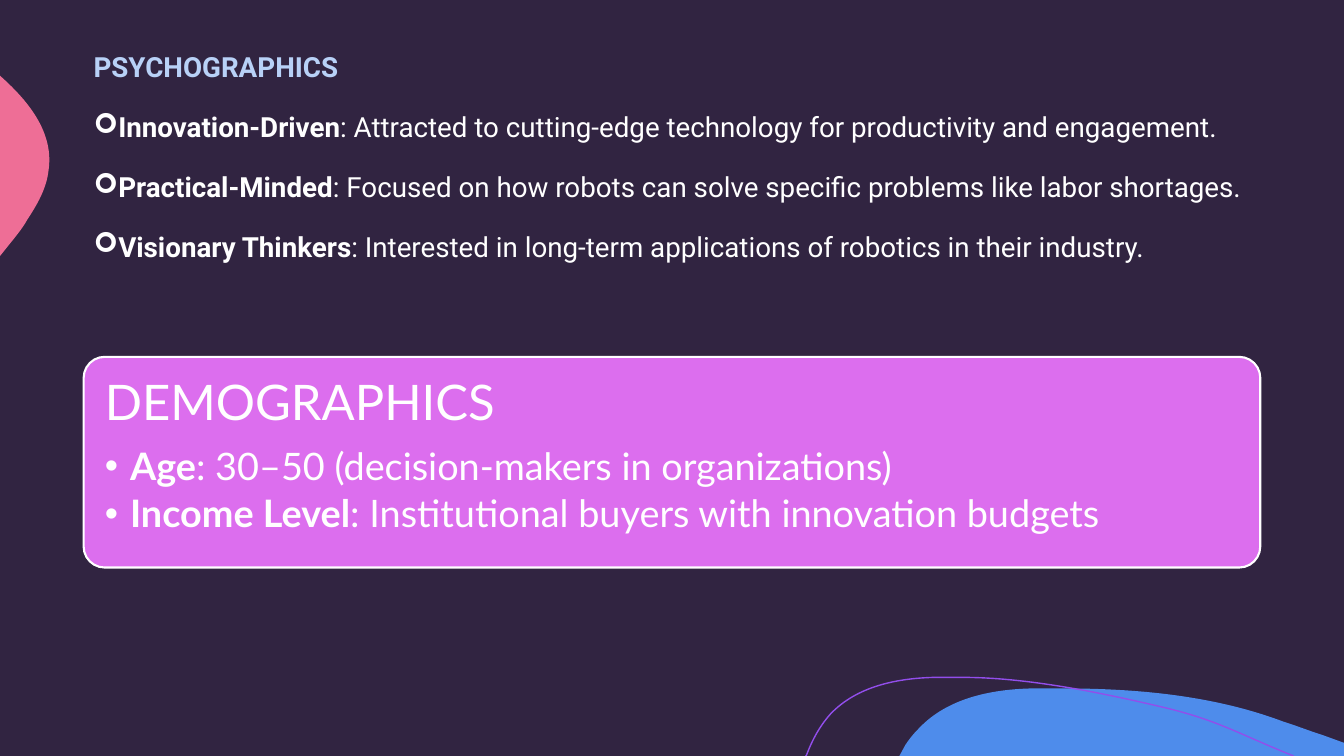
from lxml import etree
from pptx import Presentation
from pptx.dml.color import RGBColor
from pptx.enum.shapes import MSO_SHAPE as Preset
from pptx.enum.text import MSO_ANCHOR as Anchor, PP_ALIGN as Align
from pptx.oxml.ns import qn
from pptx.util import Inches, Pt

COLORS = {
    "background": "312441", "blue": "4E8CEB", "pink": "EE6E96",
    "violet": "924EEB", "card": "DC6EEE", "heading": "B8D1F7", "white": "FFFFFF",
}
COLORS = {name: RGBColor.from_string(value) for name, value in COLORS.items()}


def draw_outline(page, start, segments, close):
    """Draw a freeform; a segment is one line end or three Bezier points."""
    builder = page.shapes.build_freeform(Inches(start[0]), Inches(start[1]))
    ends = [segment[-1] for segment in segments]
    builder.add_line_segments([(Inches(x), Inches(y)) for x, y in ends], close=close)
    outline = builder.convert_to_shape()
    outline.shadow.inherit = False
    # Turn the straight segments that have control points into curves
    lines = list(outline._element.iter(qn("a:lnTo")))
    for line, segment in zip(lines, segments):
        if len(segment) == 3:
            curve = etree.Element(qn("a:cubicBezTo"))
            for x, y in segment:
                point = etree.SubElement(curve, qn("a:pt"))
                point.set("x", str(Inches(x) - outline.left))
                point.set("y", str(Inches(y) - outline.top))
            line.getparent().replace(line, curve)
    return outline


def write_paragraph(para, parts, size, font, color, bullet=None, bullet_font="Arial", hanging=0):
    """Fill a paragraph with (text, bold) parts and an optional bullet."""
    para.alignment = Align.LEFT
    para.line_spacing = 0.9
    if bullet:
        properties = para._p.get_or_add_pPr()
        properties.set("marL", str(Inches(hanging)))
        properties.set("indent", str(-Inches(hanging)))
        etree.SubElement(properties, qn("a:buFont")).set("typeface", bullet_font)
        etree.SubElement(properties, qn("a:buChar")).set("char", bullet)
    for text, bold in parts:
        span = para.add_run()
        span.text = text
        span.font.name = font
        span.font.size = Pt(size)
        span.font.bold = bold
        span.font.color.rgb = color


deck = Presentation()
deck.slide_width, deck.slide_height = Inches(13.33), Inches(7.5)
page = deck.slides.add_slide(deck.slide_layouts[6])
page.background.fill.solid()
page.background.fill.fore_color.rgb = COLORS["background"]

# Filled blobs at the edges
blobs = [
    ("blue", (10.54, 6.83), [
        [(11.28, 6.83), (12.04, 6.9), (12.73, 7.16)],
        [(12.86, 7.2), (12.98, 7.25), (13.11, 7.29)],
        [(13.33, 7.37)], [(13.33, 7.5)], [(8.92, 7.5)], [(8.98, 7.39)],
        [(9.02, 7.33), (9.06, 7.28), (9.11, 7.23)],
        [(9.39, 6.93), (9.82, 6.84), (10.23, 6.83)],
        [(10.33, 6.83), (10.43, 6.83), (10.54, 6.83)]]),
    ("pink", (0, 0.75), [
        [(0.01, 0.76)],
        [(0.3, 1.02), (0.54, 1.33), (0.48, 1.7)],
        [(0.46, 1.87), (0.37, 2.03), (0.27, 2.18)],
        [(0.24, 2.24), (0.17, 2.33), (0.08, 2.44)],
        [(0, 2.54)]]),
]
for color, start, segments in blobs:
    blob = draw_outline(page, start, segments, close=True)
    blob.fill.solid()
    blob.fill.fore_color.rgb = COLORS[color]
    blob.line.fill.background()

# Violet line over the blue blob
swoosh = draw_outline(page, (7.99, 7.5), [
    [(8, 7.49)],
    [(8.06, 7.33), (8.14, 7.19), (8.24, 7.08)],
    [(8.5, 6.81), (8.89, 6.73), (9.26, 6.72)],
    [(9.55, 6.72)],
    [(10.22, 6.72), (11, 6.89), (11.55, 7.02)],
    [(12.09, 7.15), (12.26, 7.27), (12.83, 7.5)]], close=False)
swoosh.fill.background()
swoosh.line.color.rgb = COLORS["violet"]
swoosh.line.width = Pt(1)

# Psychographics
box = page.shapes.add_textbox(Inches(0.83), Inches(0.83), Inches(11.67), Inches(1.67))
frame = box.text_frame
frame.word_wrap = True
frame.vertical_anchor = Anchor.MIDDLE
frame.margin_bottom = Inches(0.24)
write_paragraph(frame.paragraphs[0], [("PSYCHOGRAPHICS", True)], 19.8, "Roboto",
                COLORS["heading"])
traits = [
    ("Innovation-Driven", ": Attracted to cutting-edge technology for productivity and engagement."),
    ("Practical-Minded", ": Focused on how robots can solve specific problems like labor shortages."),
    ("Visionary Thinkers", ": Interested in long-term applications of robotics in their industry."),
]
for label, detail in traits:
    para = frame.add_paragraph()
    write_paragraph(para, [(label, True), (detail, False)], 19.8, "Roboto",
                    COLORS["white"], bullet="➢", bullet_font="Wingdings")
    para.space_before = Pt(21.4)

# Demographics card
card = page.shapes.add_shape(Preset.ROUNDED_RECTANGLE, Inches(0.83), Inches(3.54),
                             Inches(11.67), Inches(2.09))
card.adjustments[0] = 0.1
card.shadow.inherit = False
card.fill.solid()
card.fill.fore_color.rgb = COLORS["card"]
card.line.color.rgb = COLORS["white"]
card.line.width = Pt(1.5)

# Demographics text
box = page.shapes.add_textbox(Inches(0.89), Inches(3.61), Inches(11.54), Inches(1.97))
frame = box.text_frame
frame.word_wrap = True
frame.margin_left = frame.margin_right = Inches(0.15)
frame.margin_top = Inches(0.14)
frame.margin_bottom = Inches(0.15)
heading = frame.paragraphs[0]
write_paragraph(heading, [("DEMOGRAPHICS", False)], 35, "Lato", COLORS["white"])
heading.space_after = Pt(12)
facts = [
    ("Age", ": 30–50 (decision-makers in organizations)"),
    ("Income Level", ": Institutional buyers with innovation budgets"),
]
for label, detail in facts:
    para = frame.add_paragraph()
    write_paragraph(para, [(label, True), (detail, False)], 27, "Lato",
                    COLORS["white"], bullet="•", hanging=0.25)
    para.level = 1
    para.space_after = Pt(4.4)

deck.save("out.pptx")
